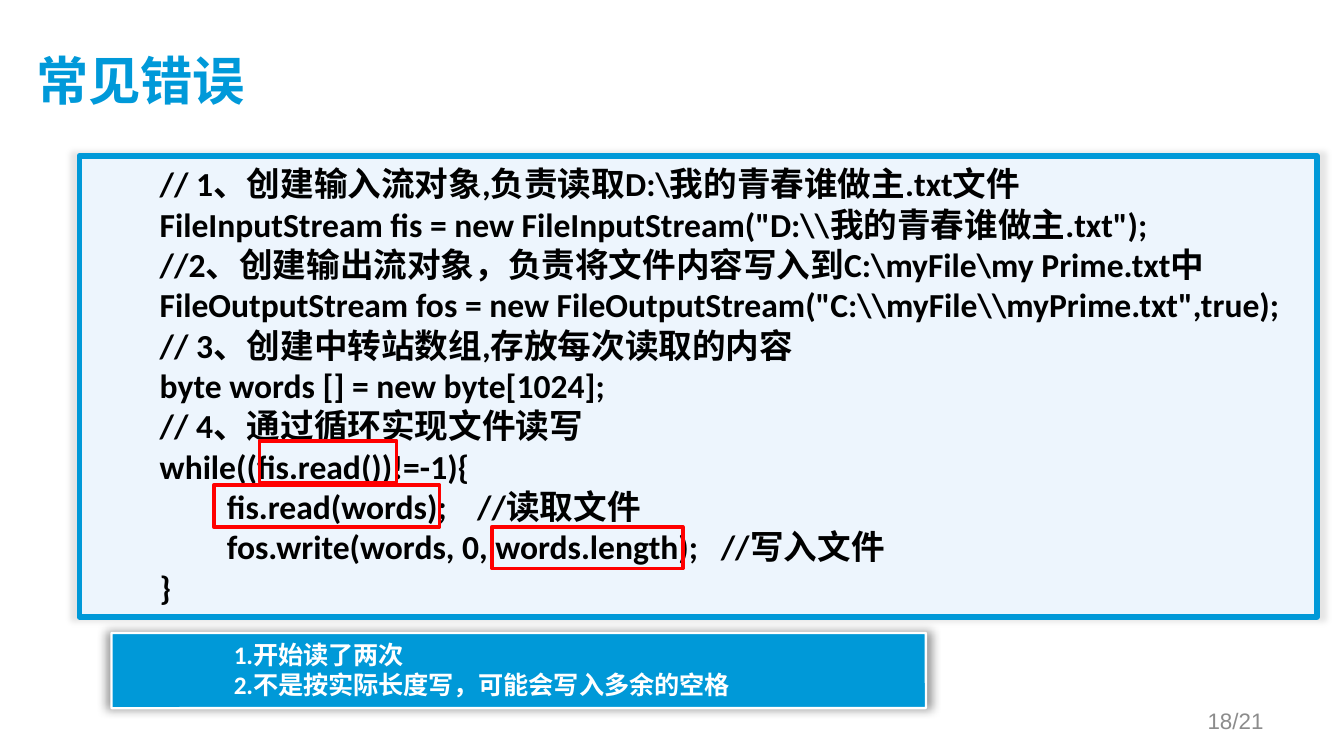
from dataclasses import dataclass

from lxml import etree
from pptx import Presentation
from pptx import util as u
from pptx.dml import color
from pptx.enum import shapes, text
from pptx.oxml import ns

BLUE, DEEP_BLUE, PALE_BLUE = "0099D9", "0099D8", "EDF5FD"
RED, GREY, BLACK, WHITE = "FF0000", "8C8C8C", "000000", "FFFFFF"
CJK_FONT = "Noto Sans CJK SC"


@dataclass(frozen=True)
class Box:
    left: float
    top: float
    width: float
    height: float

    def lengths(self) -> list:
        return [u.Inches(v) for v in (self.left, self.top, self.width, self.height)]


@dataclass(frozen=True)
class TextStyle:
    size: float
    font: str
    color: str
    bold: bool = True


TITLE_STYLE = TextStyle(28, CJK_FONT, BLUE)
CODE_STYLE = TextStyle(18, "Calibri", BLACK)
NOTE_STYLE = TextStyle(13.5, "Calibri", WHITE)
NUMBER_STYLE = TextStyle(12, "Arial", GREY, bold=False)

CODE_LINES = [
    "// 1、创建输入流对象,负责读取D:\\我的青春谁做主.txt文件",
    'FileInputStream fis = new FileInputStream("D:\\\\我的青春谁做主.txt");',
    "//2、创建输出流对象，负责将文件内容写入到C:\\myFile\\my Prime.txt中",
    'FileOutputStream fos = new FileOutputStream("C:\\\\myFile\\\\myPrime.txt",true);',
    "// 3、创建中转站数组,存放每次读取的内容",
    "byte words [] = new byte[1024];",
    "// 4、通过循环实现文件读写",
    "while((fis.read())!=-1){",
    "\tfis.read(words);    //读取文件",
    "\tfos.write(words, 0, words.length);   //写入文件",
    "}",
]
NOTE_LINES = ["1.开始读了两次", "2.不是按实际长度写，可能会写入多余的空格"]
ERROR_MARKS = [
    Box(1.93, 3.28, 1.02, 0.31),
    Box(1.59, 3.61, 1.68, 0.31),
    Box(3.66, 3.92, 1.42, 0.31),
]


def rgb(value: str) -> color.RGBColor:
    return color.RGBColor.from_string(value)


def add_run(paragraph, content: str, style: TextStyle) -> None:
    run = paragraph.add_run()
    run.text = content
    run.font.size = u.Pt(style.size)
    run.font.bold = style.bold
    run.font.name = style.font
    run.font.color.rgb = rgb(style.color)
    east_asian = etree.Element(ns.qn("a:ea"), typeface=CJK_FONT)
    run.font._element.find(ns.qn("a:latin")).addnext(east_asian)


def write_lines(shape, lines: list[str], style: TextStyle, indent: float) -> None:
    """Write one paragraph per line; a tab reaches one inch past the indent."""
    frame = shape.text_frame
    frame.word_wrap = True
    frame.vertical_anchor = text.MSO_ANCHOR.MIDDLE
    frame.margin_top, frame.margin_bottom = u.Inches(0.04), u.Inches(0.06)
    for index, line in enumerate(lines):
        paragraph = frame.paragraphs[0] if index == 0 else frame.add_paragraph()
        paragraph.alignment = text.PP_ALIGN.LEFT
        paragraph.line_spacing = u.Pt(style.size * 1.2)
        properties = paragraph._p.get_or_add_pPr()
        properties.set("marL", str(u.Inches(indent)))
        properties.set("indent", "0")
        if line.startswith("\t"):
            tabs = etree.SubElement(properties, ns.qn("a:tabLst"))
            etree.SubElement(tabs, ns.qn("a:tab"), pos=str(u.Inches(indent + 1)), algn="l")
        add_run(paragraph, line, style)


def add_box(slide, box: Box, line: str, line_width: float, fill: str | None = None,
            kind=shapes.MSO_SHAPE.RECTANGLE):
    shape = slide.shapes.add_shape(kind, *box.lengths())
    shape.shadow.inherit = False
    if fill:
        shape.fill.solid()
        shape.fill.fore_color.rgb = rgb(fill)
    else:
        shape.fill.background()
    shape.line.color.rgb = rgb(line)
    shape.line.width = u.Pt(line_width)
    return shape


def add_glow_shadow(shape, blur: float, opacity: int) -> None:
    """Add a black shadow without offset; blur in points, opacity in percent."""
    effects = shape._element.spPr.find(ns.qn("a:effectLst"))
    shadow = etree.SubElement(effects, ns.qn("a:outerShdw"), blurRad=str(u.Pt(blur)),
                              dist="0", dir="0", sx="101000", sy="101000",
                              algn="ctr", rotWithShape="0")
    shade = etree.SubElement(shadow, ns.qn("a:srgbClr"), val=BLACK)
    etree.SubElement(shade, ns.qn("a:alpha"), val=str(opacity * 1000))


def add_title(slide, content: str) -> None:
    title = slide.shapes.title
    title.left, title.top, title.width, title.height = Box(0.27, 0.23, 8.95, 0.77).lengths()
    frame = title.text_frame
    frame.margin_left = frame.margin_top = 0
    frame.vertical_anchor = text.MSO_ANCHOR.MIDDLE
    paragraph = frame.paragraphs[0]
    paragraph.alignment = text.PP_ALIGN.LEFT
    add_run(paragraph, content, TITLE_STYLE)


def add_page_number(slide, content: str) -> None:
    frame = slide.shapes.add_textbox(*Box(7.17, 5.21, 2.33, 0.3).lengths()).text_frame
    frame.word_wrap = True
    frame.vertical_anchor = text.MSO_ANCHOR.MIDDLE
    paragraph = frame.paragraphs[0]
    paragraph.alignment = text.PP_ALIGN.RIGHT
    add_run(paragraph, content, NUMBER_STYLE)


def main() -> None:
    presentation = Presentation()
    presentation.slide_width = u.Inches(10)
    presentation.slide_height = u.Inches(10 * 9 / 16)
    slide = presentation.slides.add_slide(presentation.slide_layouts.get_by_name("Title Only"))

    add_title(slide, "常见错误")

    code_panel = add_box(slide, Box(0.59, 1.16, 9.21, 3.43), DEEP_BLUE, 3, PALE_BLUE)
    add_glow_shadow(code_panel, blur=3, opacity=10)
    write_lines(code_panel, CODE_LINES, CODE_STYLE, indent=0.5)

    for mark in ERROR_MARKS:
        add_box(slide, mark, RED, 2)

    note = add_box(slide, Box(0.83, 4.71, 6.06, 0.56), WHITE, 1.25, DEEP_BLUE,
                   shapes.MSO_SHAPE.ROUNDED_RECTANGLE)
    note.adjustments[0] = 0.01
    add_glow_shadow(note, blur=5, opacity=40)
    write_lines(note, NOTE_LINES, NOTE_STYLE, indent=0.81)

    add_page_number(slide, "18/21")
    presentation.save("out.pptx")


if __name__ == "__main__":
    main()
